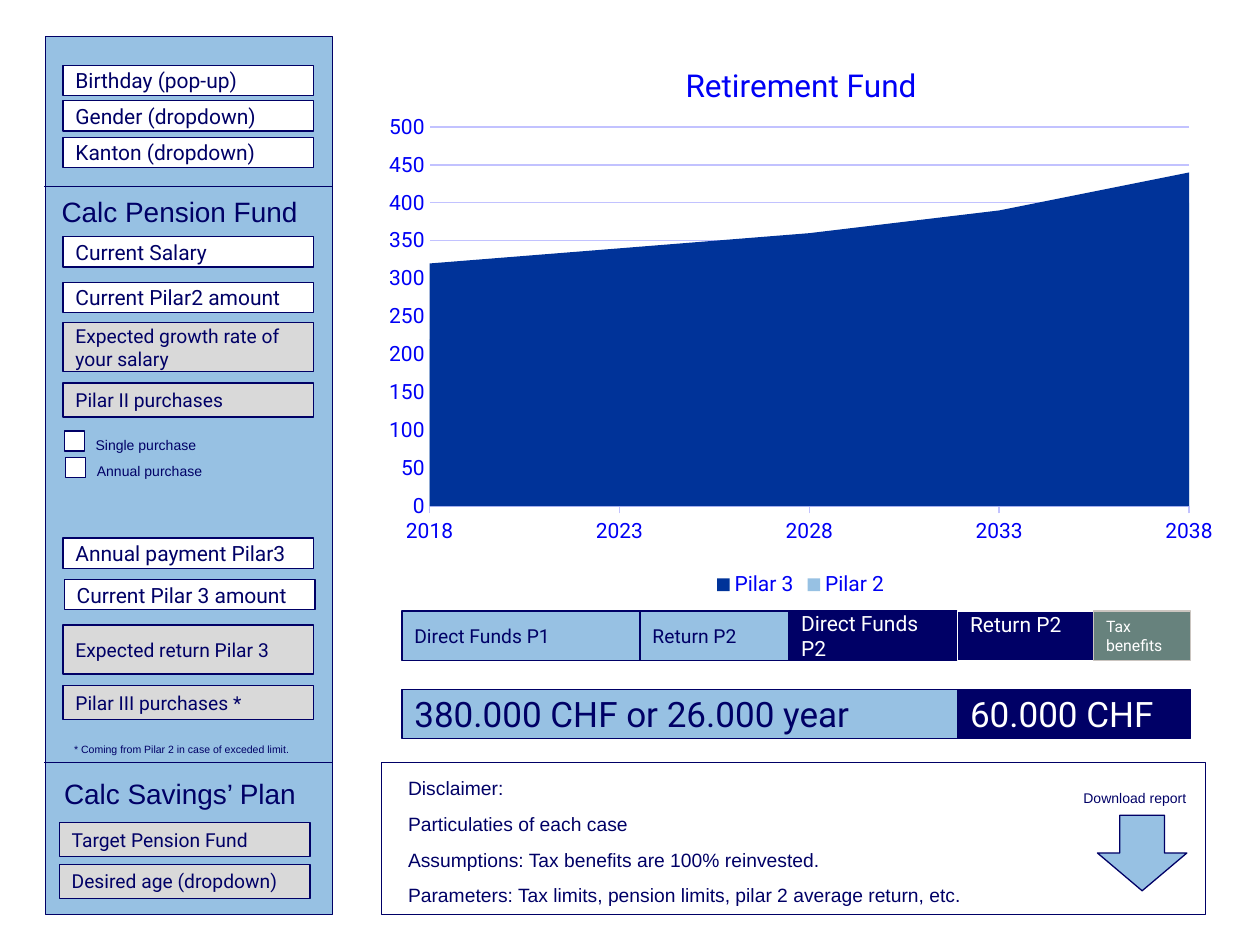
from lxml import etree
from pptx import Presentation, util as u
from pptx.chart.data import CategoryChartData
from pptx.dml.color import RGBColor
from pptx.enum import chart as charts, shapes, text
from pptx.oxml import parse_xml
from pptx.oxml.ns import nsdecls, qn

COLORS = {"navy": "000066", "sky": "97C1E3", "white": "FFFFFF", "grey": "D9D9D9",
          "sage": "67827D", "stone": "CBC5C0", "area": "003399",
          "label": "0000F5", "grid": "C2C2FF"}

# Sidebar fields: label, left, top, height, wanted (white) or optional (grey)
FIELD_WIDTH = 1.99
FIELD_STYLES = {"main": {"fill": "white", "size": 12}, "option": {"fill": "grey", "size": 11}}
FIELDS = [
    ("Birthday (pop-up)", 0.5, 0.52, 0.24, "main"),
    ("Gender (dropdown)", 0.5, 0.8, 0.24, "main"),
    ("Kanton (dropdown)", 0.5, 1.09, 0.24, "main"),
    ("Current Salary", 0.5, 1.88, 0.24, "main"),
    ("Current Pilar2 amount", 0.5, 2.24, 0.24, "main"),
    ("Expected growth rate of your salary", 0.5, 2.56, 0.39, "option"),
    ("Pilar II purchases", 0.5, 3.04, 0.27, "option"),
    ("Annual payment Pilar3", 0.5, 4.27, 0.24, "main"),
    ("Current Pilar 3 amount", 0.51, 4.6, 0.24, "main"),
    ("Expected return Pilar 3", 0.5, 4.96, 0.39, "option"),
    ("Pilar III purchases *", 0.5, 5.44, 0.27, "option"),
    ("Target Pension Fund", 0.47, 6.53, 0.27, "option"),
    ("Desired age (dropdown)", 0.47, 6.86, 0.27, "option"),
]
CHECKBOXES = [("Single purchase", 0.51, 3.42), ("Annual purchase", 0.52, 3.63)]
DIVIDERS = [1.48, 6.05]

# Plain texts: lines, (left, top, width, height), size
NOTES = [
    (["Calc Pension Fund"], (0.39, 1.35, 2.15, 0.52), 16),
    (["Calc Savings’ Plan"], (0.41, 5.97, 2.15, 0.52), 16),
    (["* Coming from Pilar 2 in case of exceded limit."], (0.49, 5.79, 2.15, 0.26), 6),
    (["Disclaimer:", "Particulaties of each case",
      "Assumptions: Tax benefits are 100% reinvested.",
      "Parameters: Tax limits, pension limits, pilar 2 average return, etc."],
     (3.14, 6.01, 6.3, 1.25), 11),
    (["Download report"], (8.5, 6.14, 1.06, 0.31), 8),
]

# Result bars: top, then segments of label, width, fill, line, text colour, size
BAR_LEFT, BAR_HEIGHT = 3.19, 0.39
BARS = [
    (4.85, [("Direct Funds P1", 1.89, "sky", "navy", "navy", 11),
            ("Return P2", 1.18, "sky", "navy", "navy", 11),
            ("Direct Funds P2", 1.34, "navy", "navy", "white", 12),
            ("Return P2", 1.08, "navy", "white", "white", 12),
            ("Tax benefits", 0.77, "sage", "stone", "white", 9)]),
    (5.47, [("380.000 CHF or 26.000 year", 4.41, "sky", "navy", "navy", 20),
            ("60.000 CHF", 1.85, "navy", "navy", "white", 20)]),
]

YEARS = ["2018", "2023", "2028", "2033", "2038"]
SERIES = [("Pilar 3", [320, 340, 360, 390, 440], "area"),
          ("Pilar 2", [220, 250, 290, 340, 400], "sky")]


def rgb(name):
    return RGBColor.from_string(COLORS[name])


def inches(*values):
    return [u.Inches(value) for value in values]


def style_font(font, size, color="label", name="Roboto"):
    for key, value in {"size": u.Pt(size), "name": name, "bold": False}.items():
        setattr(font, key, value)
    font.color.rgb = rgb(color)


def style_line(line, color, width=0.75):
    line.color.rgb = rgb(color)
    line.width = u.Pt(width)


def add_box(slide, place, fill="white", line="navy", kind="RECTANGLE"):
    box = slide.shapes.add_shape(getattr(shapes.MSO_SHAPE, kind), *inches(*place))
    box.shadow.inherit = False
    if fill:
        box.fill.solid()
        box.fill.fore_color.rgb = rgb(fill)
    else:
        box.fill.background()
    style_line(box.line, line)
    return box


def add_label_box(slide, label, place, fill, size, line="navy", color="navy"):
    frame = add_box(slide, place, fill, line).text_frame
    frame.word_wrap = True
    frame.vertical_anchor = text.MSO_ANCHOR.MIDDLE
    para = frame.paragraphs[0]
    para.alignment = text.PP_ALIGN.LEFT
    span = para.add_run()
    span.text = label
    style_font(span.font, size, color)
    return frame


def add_note(slide, lines, place, size):
    frame = slide.shapes.add_textbox(*inches(*place)).text_frame
    frame.word_wrap = True
    frame.auto_size = text.MSO_AUTO_SIZE.SHAPE_TO_FIT_TEXT
    for index, line in enumerate(lines):
        para = frame.add_paragraph() if index else frame.paragraphs[0]
        para.line_spacing = 1.55
        span = para.add_run()
        span.text = line
        style_font(span.font, size, "navy", "Arial")


def add_divider(slide, top):
    line = slide.shapes.add_connector(shapes.MSO_CONNECTOR.STRAIGHT,
                                      *inches(0.35, top, 2.64, top))
    style_line(line.line, "navy")
    etree.SubElement(line._element.spPr, qn("a:effectLst"))


def manual_layout(**parts):
    tags = "".join(f'<c:{tag} val="{value}"/>' for tag, value in parts.items())
    return parse_xml(f'<c:layout {nsdecls("c")}><c:manualLayout>{tags}'
                     '</c:manualLayout></c:layout>')


def set_layout(parent, layout, index):
    for old in parent.findall(qn("c:layout")):
        parent.remove(old)
    parent.insert(index, layout)


def add_fund_chart(slide):
    data = CategoryChartData()
    data.categories = YEARS
    for name, values, _ in SERIES:
        data.add_series(name, values)
    chart = slide.shapes.add_chart(charts.XL_CHART_TYPE.AREA,
                                   *inches(2.93, 0.29, 6.85, 4.49), data).chart
    style_font(chart.font, 10, "navy")
    for series, (_, _, color) in zip(chart.plots[0].series, SERIES):
        series.format.fill.solid()
        series.format.fill.fore_color.rgb = rgb(color)
    chart.plots[0].vary_by_categories = False

    # Title and plot area
    chart.has_title = True
    para = chart.chart_title.text_frame.paragraphs[0]
    span = para.add_run()
    span.text = "Retirement Fund"
    style_font(span.font, 18)
    chart.chart_title.include_in_layout = False
    set_layout(chart.chart_title._element,
               manual_layout(xMode="edge", yMode="edge", x=0.36, y=0.04), 1)
    set_layout(chart._chartSpace.chart.plotArea,
               manual_layout(layoutTarget="inner", xMode="edge", yMode="edge",
                             x=0.07, y=0.16, w=0.88, h=0.67), 0)

    # Legend and axes
    chart.has_legend = True
    chart.legend.position = charts.XL_LEGEND_POSITION.BOTTOM
    chart.legend.include_in_layout = False
    style_font(chart.legend.font, 12)
    years, amounts = chart.category_axis, chart.value_axis
    for axis in (years, amounts):
        style_font(axis.tick_labels.font, 12)
    years.has_major_gridlines = False
    years.major_tick_mark = charts.XL_TICK_MARK.OUTSIDE
    style_line(years.format.line, "grid")
    for key, value in {"minimum_scale": 0, "maximum_scale": 500, "major_unit": 50,
                       "major_tick_mark": charts.XL_TICK_MARK.NONE,
                       "has_major_gridlines": True}.items():
        setattr(amounts, key, value)
    amounts.format.line.fill.background()
    style_line(amounts.major_gridlines.format.line, "grid")


def main():
    deck = Presentation()
    deck.slide_width, deck.slide_height = inches(10, 7.5)
    slide = deck.slides.add_slide(deck.slide_layouts[6])

    # Sidebar
    add_box(slide, (0.36, 0.29, 2.28, 6.97), "sky")
    for label, left, top, height, style in FIELDS:
        add_label_box(slide, label, (left, top, FIELD_WIDTH, height), **FIELD_STYLES[style])
    for label, left, top in CHECKBOXES:
        add_box(slide, (left, top, 0.16, 0.16))
        add_note(slide, [label], (left + 0.15, top - 0.08, 1.11, 0.31), 8)
    for top in DIVIDERS:
        add_divider(slide, top)

    # Chart and result bars
    add_fund_chart(slide)
    for top, segments in BARS:
        left = BAR_LEFT
        for label, width, fill, line, color, size in segments:
            frame = add_label_box(slide, label, (left, top, width, BAR_HEIGHT),
                                  fill, size, line, color)
            if line == "white":  # this label sits at the top of its segment
                frame.vertical_anchor = text.MSO_ANCHOR.TOP
                frame.margin_top = 0
            left += width

    # Disclaimer panel and texts
    add_box(slide, (3.03, 6.05, 6.54, 1.21), None)
    add_box(slide, (8.71, 6.47, 0.71, 0.6), "sky", kind="DOWN_ARROW")
    for note in NOTES:
        add_note(slide, *note)
    deck.save("out.pptx")


if __name__ == "__main__":
    main()
